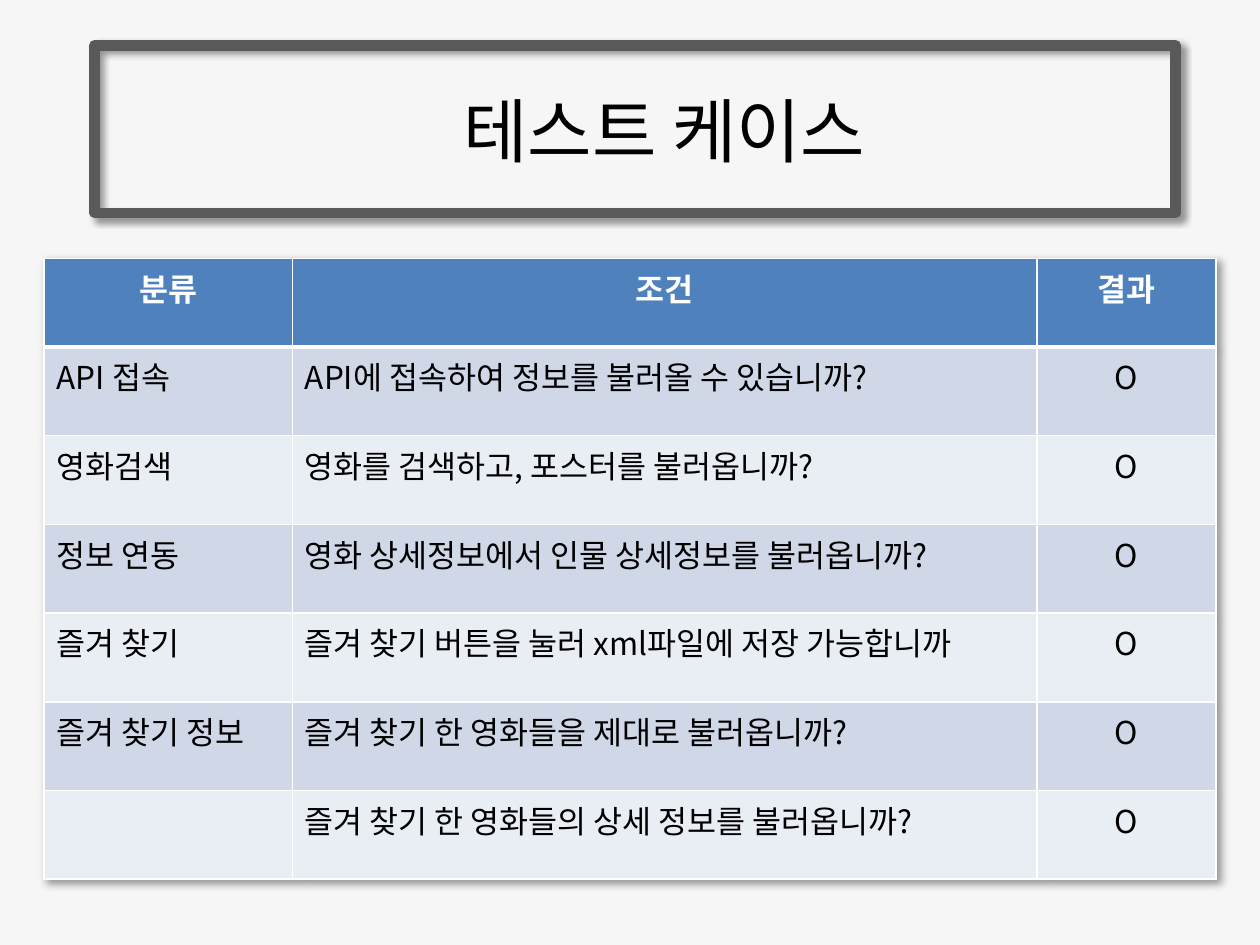
from dataclasses import dataclass

import lxml.etree
import pptx
import pptx.dml.color
import pptx.enum.shapes
import pptx.enum.text
import pptx.oxml
import pptx.oxml.ns
import pptx.util

Inches = pptx.util.Inches
Pt = pptx.util.Pt
qn = pptx.oxml.ns.qn
Align = pptx.enum.text.PP_ALIGN

FONT = "Noto Sans CJK KR"
COLORS = {
    "background": "F6F6F6",
    "frame": "595959",
    "header": "4F81BD",
    "odd_row": "D0D8E8",
    "even_row": "E9EDF4",
    "white": "FFFFFF",
    "black": "000000",
}
COLUMN_WIDTHS = (1.97, 5.91, 1.42)
TABLE_HEIGHT = 4.93
HEADINGS = ("분류", "조건", "결과")


@dataclass(frozen=True)
class TestCase:
    category: str
    condition: str
    result: str = "O"


TEST_CASES = (
    TestCase("API 접속", "API에 접속하여 정보를 불러올 수 있습니까?"),
    TestCase("영화검색", "영화를 검색하고, 포스터를 불러옵니까?"),
    TestCase("정보 연동", "영화 상세정보에서 인물 상세정보를 불러옵니까?"),
    TestCase("즐겨 찾기", "즐겨 찾기 버튼을 눌러 xml파일에 저장 가능합니까"),
    TestCase("즐겨 찾기 정보", "즐겨 찾기 한 영화들을 제대로 불러옵니까?"),
    TestCase("", "즐겨 찾기 한 영화들의 상세 정보를 불러옵니까?"),
)


def rgb(name: str) -> pptx.dml.color.RGBColor:
    return pptx.dml.color.RGBColor.from_string(COLORS[name])


def apply_format(target, values: dict) -> None:
    for name, value in values.items():
        setattr(target, name, value)


def write_text(text_frame, text: str, size: int, color: str,
               alignment, bold: bool = False) -> None:
    paragraph = text_frame.paragraphs[0]
    paragraph.alignment = alignment
    if not text:
        return
    run = paragraph.add_run()
    run.text = text
    apply_format(run.font, {"name": FONT, "size": Pt(size), "bold": bold})
    run.font.color.rgb = rgb(color)
    east_asian = lxml.etree.SubElement(run.font._element, qn("a:ea"))
    east_asian.set("typeface", FONT)


def outer_shadow():
    return pptx.oxml.parse_xml(
        f'<a:effectLst {pptx.oxml.ns.nsdecls("a")}>'
        f'<a:outerShdw blurRad="{Pt(4)}" dist="{Pt(3)}" dir="2700000" '
        f'algn="tl" rotWithShape="0"><a:srgbClr val="{COLORS["black"]}">'
        '<a:alpha val="40000"/></a:srgbClr></a:outerShdw></a:effectLst>'
    )


def set_borders(cell, bottom_width: int) -> None:
    properties = cell._tc.get_or_add_tcPr()
    widths = {"lnL": 1, "lnR": 1, "lnT": 1, "lnB": bottom_width}
    for index, (side, width) in enumerate(widths.items()):
        border = pptx.oxml.parse_xml(
            f'<a:{side} {pptx.oxml.ns.nsdecls("a")} w="{Pt(width)}"><a:solidFill>'
            f'<a:srgbClr val="{COLORS["white"]}"/></a:solidFill></a:{side}>'
        )
        properties.insert(index, border)


def add_title(slide) -> None:
    frame = slide.shapes.add_shape(
        pptx.enum.shapes.MSO_SHAPE.RECTANGLE,
        Inches(0.75), Inches(0.36), Inches(8.58), Inches(1.33))
    frame.fill.background()
    frame.line.color.rgb = rgb("frame")
    frame.line.width = Pt(6)
    lxml.etree.SubElement(frame.line._ln, qn("a:round"))
    frame._element.spPr.append(outer_shadow())

    title = slide.shapes.title
    apply_format(title, {"left": Inches(3.58), "top": Inches(0.64),
                         "width": Inches(3.77), "height": Inches(0.77)})
    apply_format(title.text_frame, {
        "word_wrap": False,
        "auto_size": pptx.enum.text.MSO_AUTO_SIZE.NONE,
        "vertical_anchor": pptx.enum.text.MSO_ANCHOR.MIDDLE,
    })
    write_text(title.text_frame, "테스트 케이스", 40, "black", Align.LEFT)


def add_cell(cell, text: str, fill: str, is_header: bool, centred: bool) -> None:
    cell.fill.solid()
    cell.fill.fore_color.rgb = rgb(fill)
    set_borders(cell, 3 if is_header else 1)
    write_text(cell.text_frame, text, 18, "white" if is_header else "black",
               Align.CENTER if centred else Align.LEFT, is_header)


def add_test_table(slide) -> None:
    rows = [HEADINGS] + [(case.category, case.condition, case.result)
                         for case in TEST_CASES]
    table = slide.shapes.add_table(
        len(rows), len(HEADINGS), Inches(0.35), Inches(2.05),
        Inches(sum(COLUMN_WIDTHS)), Inches(TABLE_HEIGHT)).table
    table._tbl.tblPr.insert(0, outer_shadow())
    for column, width in zip(table.columns, COLUMN_WIDTHS):
        column.width = Inches(width)
    for row_index, texts in enumerate(rows):
        is_header = row_index == 0
        fill = "header" if is_header else ("even_row", "odd_row")[row_index % 2]
        table.rows[row_index].height = Inches(TABLE_HEIGHT / len(rows))
        for column_index, text in enumerate(texts):
            centred = is_header or column_index == len(HEADINGS) - 1
            add_cell(table.cell(row_index, column_index), text, fill,
                     is_header, centred)


def main() -> None:
    presentation = pptx.Presentation()
    apply_format(presentation, {"slide_width": Inches(10),
                                "slide_height": Inches(7.5)})
    slide = presentation.slides.add_slide(presentation.slide_layouts[5])
    slide.background.fill.solid()
    slide.background.fill.fore_color.rgb = rgb("background")
    add_title(slide)
    add_test_table(slide)
    presentation.save("out.pptx")


if __name__ == "__main__":
    main()
